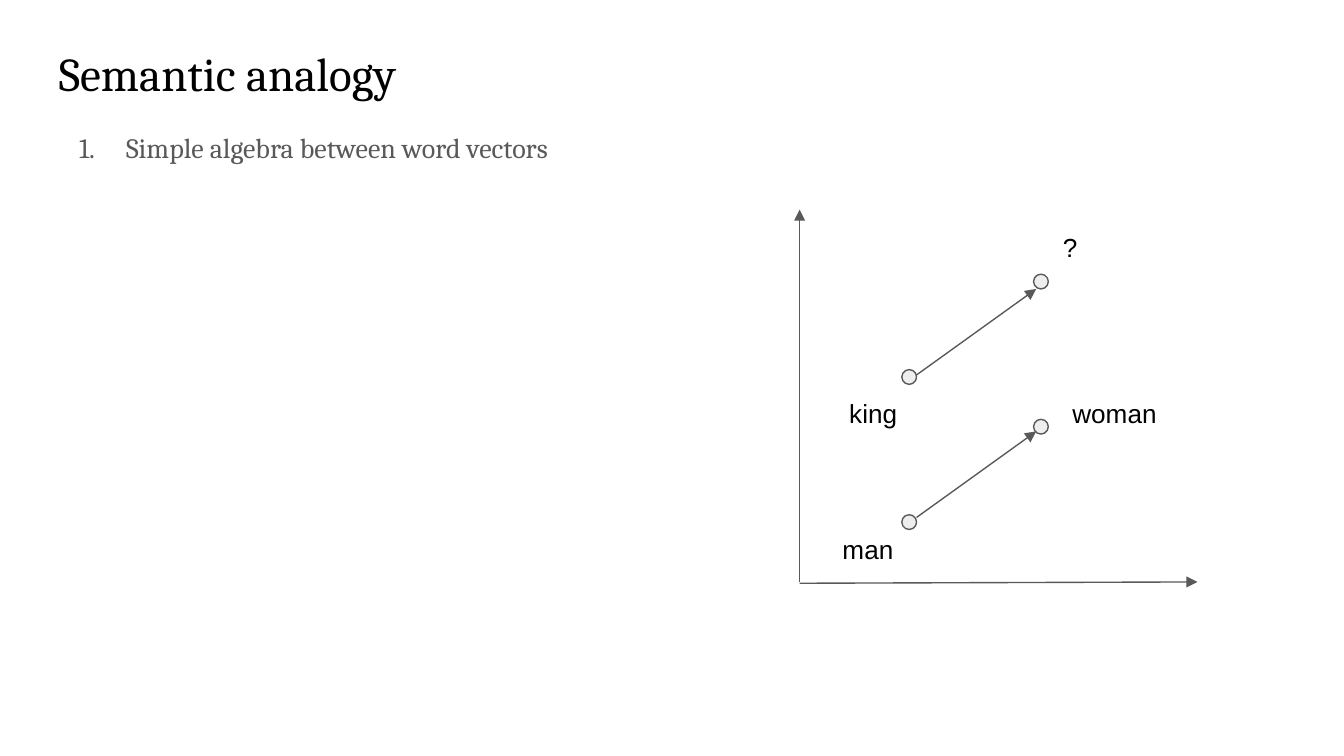
from dataclasses import dataclass

from lxml import etree
from pptx import Presentation
from pptx.dml.color import RGBColor
from pptx.enum.shapes import MSO_CONNECTOR as Conn, MSO_SHAPE as Shape
from pptx.enum.text import MSO_ANCHOR as Anchor, MSO_AUTO_SIZE as AutoSize
from pptx.oxml.ns import qn
from pptx.util import Inches, Pt


@dataclass(frozen=True)
class Theme:
    ink: RGBColor = RGBColor.from_string("000000")
    grey: RGBColor = RGBColor.from_string("595959")
    dot: RGBColor = RGBColor.from_string("EEEEEE")
    serif: str = "Cambria"
    sans: str = "Arial"
    title: float = 25.2
    body: float = 15
    label: float = 14
    line: float = 0.75


@dataclass(frozen=True)
class Label:
    text: str
    left: float
    top: float
    width: float


@dataclass(frozen=True)
class Arrow:
    x1: float
    y1: float
    x2: float
    y2: float


THEME = Theme()
SLIDE_WIDTH = 10
DOT_SIZE = 0.11
MAN_X, WOMAN_X = 6.71, 7.69
DOT_ROWS = [(3.83, 3.12), (2.75, 2.04)]  # tops of the left and right dot
AXES = [Arrow(5.95, 4.33, 5.95, 1.56), Arrow(5.95, 4.34, 8.91, 4.33)]
ANALOGIES = [Arrow(6.82, y, 7.71, y - 0.64) for y in (3.85, 2.79)]
LABELS = [
    Label("man", 6.17, 3.87, 0.75),
    Label("woman", 7.88, 2.86, 0.89),
    Label("king", 6.22, 2.86, 0.65),
    Label("?", 7.81, 1.62, 0.65),
]


def add_text(slide, text: str, left: float, top: float, width: float, height: float,
             size: float, font: str, color: RGBColor, numbered: bool = False) -> None:
    s = slide.shapes.add_textbox(Inches(left), Inches(top), Inches(width), Inches(height))
    tf = s.text_frame
    frame = dict(word_wrap=True, auto_size=AutoSize.NONE, vertical_anchor=Anchor.TOP,
                 margin_left=Inches(0.1), margin_right=Inches(0.1),
                 margin_top=Inches(0.1), margin_bottom=Inches(0.1))
    for name, value in frame.items():
        setattr(tf, name, value)
    p = tf.paragraphs[0]
    if numbered:
        add_number(p, color)
    r = p.add_run()
    r.text = text
    for name, value in dict(size=Pt(size), name=font).items():
        setattr(r.font, name, value)
    r.font.color.rgb = color


def add_number(p, color: RGBColor) -> None:
    pPr = p._p.get_or_add_pPr()
    pPr.set("marL", str(Inches(0.5)))
    pPr.set("indent", str(Inches(-0.35)))
    bu_color = etree.SubElement(pPr, qn("a:buClr"))
    etree.SubElement(bu_color, qn("a:srgbClr"), val=str(color))
    etree.SubElement(pPr, qn("a:buAutoNum"), type="arabicPeriod")


def set_line(s) -> None:
    s.line.color.rgb = THEME.grey
    s.line.width = Pt(THEME.line)


def add_arrow(slide, arrow: Arrow) -> None:
    s = slide.shapes.add_connector(Conn.STRAIGHT, Inches(arrow.x1), Inches(arrow.y1),
                                   Inches(arrow.x2), Inches(arrow.y2))
    set_line(s)
    etree.SubElement(s.line._get_or_add_ln(), qn("a:tailEnd"), type="triangle")
    etree.SubElement(s._element.spPr, qn("a:effectLst"))


def add_dot(slide, left: float, top: float) -> None:
    s = slide.shapes.add_shape(Shape.OVAL, Inches(left), Inches(top),
                               Inches(DOT_SIZE), Inches(DOT_SIZE))
    s.shadow.inherit = False
    s.fill.solid()
    s.fill.fore_color.rgb = THEME.dot
    set_line(s)


def main() -> None:
    prs = Presentation()
    prs.slide_width = Inches(SLIDE_WIDTH)
    prs.slide_height = Inches(SLIDE_WIDTH * 9 / 16)
    slide = prs.slides.add_slide(prs.slide_layouts[6])

    # Title
    add_text(slide, "Semantic analogy", 0.34, 0.23, 9.32, 0.63,
             THEME.title, THEME.serif, THEME.ink)

    # Axes, word vectors and the arrows between them
    for axis in AXES:
        add_arrow(slide, axis)
    for left_top, right_top in DOT_ROWS:
        add_dot(slide, MAN_X, left_top)
        add_dot(slide, WOMAN_X, right_top)
    for analogy in ANALOGIES:
        add_arrow(slide, analogy)

    # Word labels
    for label in LABELS:
        add_text(slide, label.text, label.left, label.top, label.width, 0.44,
                 THEME.label, THEME.sans, THEME.ink)

    # Numbered list
    add_text(slide, "Simple algebra between word vectors", 0.34, 0.87, 5, 4.41,
             THEME.body, THEME.serif, THEME.grey, numbered=True)

    prs.save("out.pptx")


if __name__ == "__main__":
    main()
